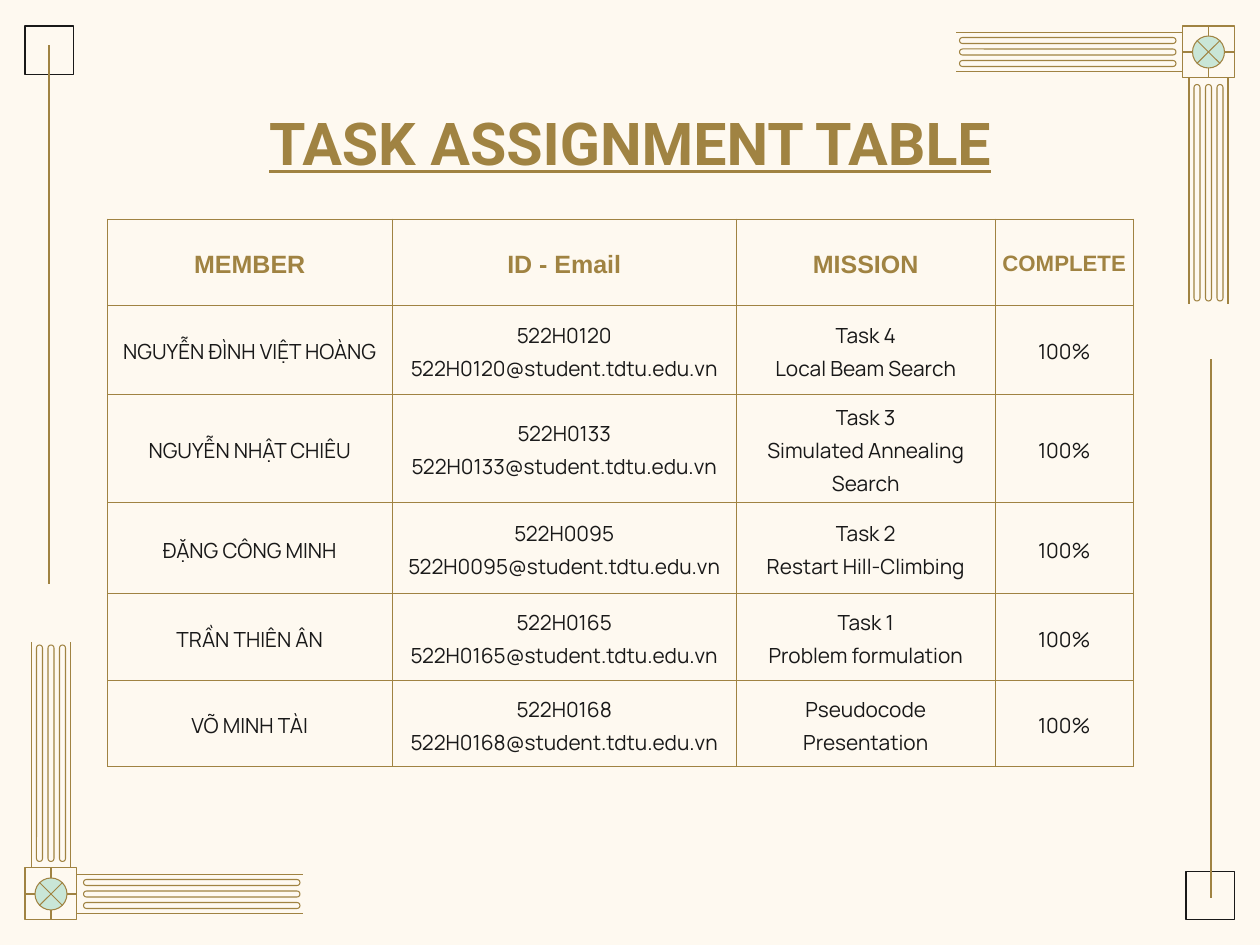
import pptx
import pptx.util
import pptx.dml.color
import pptx.enum.shapes
import pptx.enum.text
import pptx.oxml
import pptx.oxml.ns

SCALE = 9144  # EMU per px, 100 px to the inch
HUES = {"paper": "FEF9F0", "gold": "A08342", "mint": "C9E6D7", "ink": "191919"}
SHAPES = pptx.enum.shapes.MSO_SHAPE
ALIGN = pptx.enum.text.PP_ALIGN
ANCHOR = pptx.enum.text.MSO_ANCHOR

TITLE = {"name": "Roboto", "size": 85, "bold": True, "underline": True, "hue": "gold"}
HEAD = {"name": "Arial", "size": 36, "bold": True, "hue": "gold"}
BODY = {"name": "Manrope", "size": 30, "bold": False, "hue": "ink"}

HEADS = ["MEMBER", "ID - Email", "MISSION", "COMPLETE"]
TASKS = [
    ("NGUYỄN ĐÌNH VIỆT HOÀNG", "522H0120", "Task 4\nLocal Beam Search"),
    ("NGUYỄN NHẬT CHIÊU", "522H0133", "Task 3\nSimulated Annealing Search"),
    ("ĐẶNG CÔNG MINH", "522H0095", "Task 2\nRestart Hill-Climbing"),
    ("TRẦN THIÊN ÂN", "522H0165", "Task 1\nProblem formulation"),
    ("VÕ MINH TÀI", "522H0168", "Pseudocode\nPresentation"),
]
COLS = [569, 689, 517, 277]
ROWS = [173, 177, 209, 183, 173, 173]


def px(*nums):
    return [pptx.util.Emu(round(num * SCALE)) for num in nums]


def rgb(hue):
    return pptx.dml.color.RGBColor.from_string(HUES[hue])


def style(frame, look):
    for para in frame.paragraphs:
        para.alignment = ALIGN.CENTER
        para.line_spacing = 1.15
        for run in para.runs:
            for key, val in look.items():
                if key == "hue":
                    run.font.color.rgb = rgb(val)
                else:
                    setattr(run.font, key, pptx.util.Pt(val) if key == "size" else val)


def pad(target, inset):
    for side in ("left", "top", "right", "bottom"):
        setattr(target, "margin_" + side, px(inset)[0])


def stroke(item, hue="gold"):
    item.line.color.rgb = rgb(hue)
    item.line.width = pptx.util.Pt(1.5)


def shape(slide, kind, box, hue="gold", fill=None):
    item = slide.shapes.add_shape(kind, *px(*box))
    item.shadow.inherit = False
    if fill:
        item.fill.solid()
        item.fill.fore_color.rgb = rgb(fill)
    else:
        item.fill.background()
    stroke(item, hue)
    return item


def line(slide, *ends):
    item = slide.shapes.add_connector(pptx.enum.shapes.MSO_CONNECTOR.STRAIGHT, *px(*ends))
    stroke(item)
    item.element.spPr.append(pptx.oxml.parse_xml(
        f'<a:effectLst {pptx.oxml.ns.nsdecls("a")}/>'))
    return item


def corner(slide, box, dx, dy):
    """Draw a square emblem with one arm along x and one along y; dx, dy give their directions."""
    left, top, size = box
    half = size / 2
    mid_x, mid_y = left + half, top + half
    square = shape(slide, SHAPES.RECTANGLE, (left, top, size, size))
    for start, end in ((0, 2), (1, 3)):
        cross = line(slide, mid_x, mid_y, mid_x, mid_y)
        cross.begin_connect(square, start)
        cross.end_connect(square, end)
    shape(slide, SHAPES.OVAL, (mid_x - 32, mid_y - 32, 64, 64), fill="mint")
    for tilt in (-23, 23):
        line(slide, mid_x - 23, mid_y - tilt, mid_x + 23, mid_y + tilt)

    for off in (-39, 39):
        near, far = half, half + 452
        line(slide, mid_x + dx * near, mid_y + off, mid_x + dx * far, mid_y + off)
        line(slide, mid_x + off, mid_y + dy * near, mid_x + off, mid_y + dy * far)
    reach = half + 13 + 433 / 2
    for off in (-23, 0, 23):
        for x, y, wide, high in (
            (mid_x + dx * reach, mid_y + off, 433, 12),
            (mid_x + off, mid_y + dy * reach, 12, 433),
        ):
            groove = shape(slide, SHAPES.ROUNDED_RECTANGLE,
                           (x - wide / 2, y - high / 2, wide, high))
            groove.adjustments[0] = 0.5


def post(slide, box, x, top):
    """Draw a small square with a long upright line that starts at top."""
    left, y, size = box
    shape(slide, SHAPES.RECTANGLE, (left, y, size, size), "ink")
    line(slide, x, top, x, top + 1077)


def title(slide, box, text):
    head = slide.shapes.title
    head.left, head.top, head.width, head.height = px(*box)
    frame = head.text_frame
    frame.text = text
    frame.word_wrap = True
    frame.auto_size = pptx.enum.text.MSO_AUTO_SIZE.NONE
    frame.vertical_anchor = ANCHOR.TOP
    pad(frame, 28)
    style(frame, TITLE)


def border(cell):
    props = cell._tc.get_or_add_tcPr()
    for spot, side in enumerate("LRTB"):
        props.insert(spot, pptx.oxml.parse_xml(
            f'<a:ln{side} {pptx.oxml.ns.nsdecls("a")} w="19050"><a:solidFill>'
            f'<a:srgbClr val="{HUES["gold"]}"/></a:solidFill></a:ln{side}>'))


def table(slide, left, top):
    data = [HEADS] + [
        (name, f"{code} {code}@student.tdtu.edu.vn", task, "100%") for name, code, task in TASKS]
    box = px(left, top, sum(COLS), sum(ROWS))
    grid = slide.shapes.add_table(len(ROWS), len(COLS), *box).table
    grid.first_row = grid.horz_banding = False
    for col, wide in zip(grid.columns, px(*COLS)):
        col.width = wide
    for row, high, texts in zip(grid.rows, px(*ROWS), data):
        row.height = high
        for cell, text in zip(row.cells, texts):
            cell.text = text
            cell.vertical_anchor = ANCHOR.MIDDLE
            pad(cell, 10)
            cell.fill.background()
            border(cell)
            look = HEAD if texts is HEADS else BODY
            style(cell.text_frame, {**look, "size": 32} if text == "COMPLETE" else look)


def main():
    deck = pptx.Presentation()
    deck.slide_width, deck.slide_height = px(2520, 1890)
    slide = deck.slides.add_slide(deck.slide_layouts[5])
    slide.background.fill.solid()
    slide.background.fill.fore_color.rgb = rgb("paper")
    title(slide, (86, 164, 2348, 210), "TASK ASSIGNMENT TABLE")
    table(slide, 215, 438)
    corner(slide, (2365, 52, 104), -1, 1)
    corner(slide, (50, 1736, 104), 1, -1)
    post(slide, (2372, 1743, 97), 2422, 719)
    post(slide, (50, 52, 97), 98, 91)
    deck.save("out.pptx")


if __name__ == "__main__":
    main()
